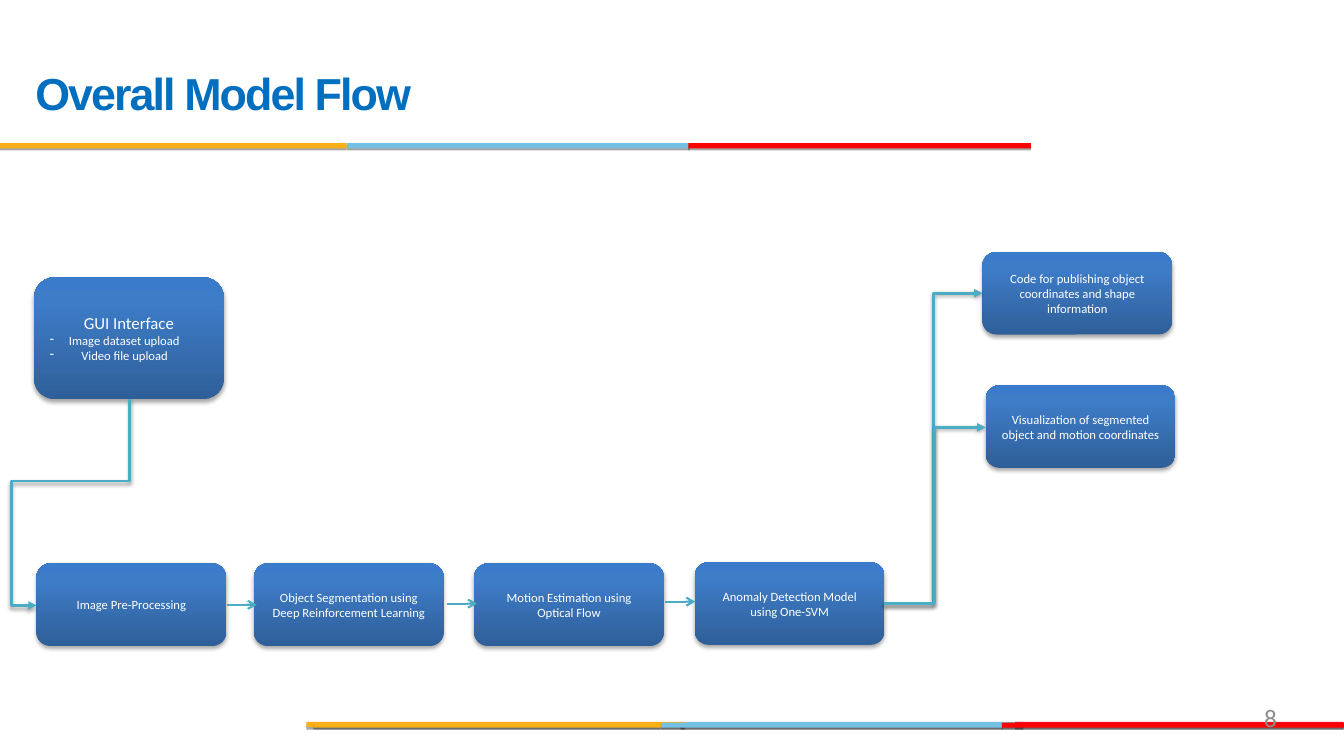
from lxml.etree import SubElement
from pptx import Presentation
from pptx.dml.color import RGBColor
from pptx.enum.shapes import MSO_CONNECTOR as Connector, MSO_SHAPE as Shape
from pptx.enum.text import MSO_ANCHOR as Anchor, PP_ALIGN as Align
from pptx.oxml.ns import qn
from pptx.util import Cm, Pt

ORANGE = RGBColor(0xFB, 0xAF, 0x16)
SKY = RGBColor(0x75, 0xC1, 0xE4)
RED = RGBColor(0xFF, 0x00, 0x00)
CRIMSON = RGBColor(0xE2, 0x1B, 0x23)
BLACK = RGBColor(0x00, 0x00, 0x00)
WHITE = RGBColor(0xFF, 0xFF, 0xFF)
GREY = RGBColor(0x8C, 0x8C, 0x8C)
TITLE_BLUE = RGBColor(0x00, 0x6F, 0xBF)
TEAL = RGBColor(0x4B, 0xAC, 0xC6)
BOX_STOPS = [
    (0, RGBColor(0x2F, 0x5F, 0x99)),
    (80, RGBColor(0x3D, 0x7C, 0xC7)),
    (100, RGBColor(0x3A, 0x7C, 0xCB)),
]

BOX_WIDTH, BOX_HEIGHT = 4.78, 2.08
STRIPE_HEIGHT = 0.13
STRIPES = [
    (17.15, 18.19, 8.64, SKY),
    (25.58, 18.19, 8.28, CRIMSON),
    (7.72, 18.19, 9.55, ORANGE),
    (16.66, 18.21, 8.61, SKY),
    (7.9, 18.21, 8.75, ORANGE),
    (25.25, 18.21, 8.62, RED),
    (8.74, 3.61, 8.64, SKY),
    (0, 3.61, 8.74, ORANGE),
    (17.35, 3.61, 8.63, RED),
]
STEPS = [
    (0.92, 14.2, "Image Pre-Processing"),
    (6.4, 14.2, "Object Segmentation using Deep Reinforcement Learning"),
    (11.95, 14.2, "Motion Estimation using Optical Flow"),
    (17.51, 14.17, "Anomaly Detection Model using One-SVM"),
    (24.76, 6.35, "Code for publishing object coordinates and shape information"),
    (24.84, 9.71, "Visualization of segmented object and motion coordinates"),
]
STEP_ARROWS = [(5.71, 15.24), (11.26, 15.21), (16.76, 15.16)]
OUTPUT_ARROWS = [(24.76, 7.39), (24.84, 10.77)]


def add_color(parent, color, alpha=None):
    element = SubElement(parent, qn("a:srgbClr"), val=str(color))
    if alpha is not None:
        SubElement(element, qn("a:alpha"), val=str(alpha * 1000))


def add_effects(shape, distance=None, alpha=35):
    effects = SubElement(shape._element.spPr, qn("a:effectLst"))
    if distance:
        shadow = SubElement(effects, qn("a:outerShdw"), blurRad=str(Pt(3.1)),
                            dist=str(Pt(distance)), dir="5400000", rotWithShape="0")
        add_color(shadow, BLACK, alpha)


def write(paragraph, text, size=9, color=WHITE, font="Calibri", bold=False,
          align=Align.CENTER, spacing=None, before=None, dash_indent=None):
    paragraph.alignment = align
    if before is not None:
        paragraph.space_before = Pt(before)
    if dash_indent:
        properties = paragraph._p.get_or_add_pPr()
        properties.set("marL", str(Cm(dash_indent)))
        properties.set("indent", str(-Cm(dash_indent)))
        SubElement(properties, qn("a:buChar"), char="-")
    run = paragraph.add_run()
    run.text = text
    run.font.size = Pt(size)
    run.font.name = font
    run.font.bold = bold
    run.font.color.rgb = color
    if spacing is not None:
        run.font._element.set("spc", str(round(spacing * 100)))


def add_text(slide, left, top, width, height, text, **style):
    frame = slide.shapes.add_textbox(Cm(left), Cm(top), Cm(width), Cm(height)).text_frame
    frame.word_wrap = True
    frame.margin_left = frame.margin_top = frame.margin_right = frame.margin_bottom = 0
    write(frame.paragraphs[0], text, **style)


def add_bar(slide, left, top, width, color, alpha=None):
    bar = slide.shapes.add_shape(Shape.RECTANGLE, Cm(left), Cm(top), Cm(width), Cm(STRIPE_HEIGHT))
    bar.shadow.inherit = False
    bar.fill.solid()
    bar.fill.fore_color.rgb = color
    bar.line.fill.background()
    if alpha is not None:
        color_element = bar._element.spPr.find(qn("a:solidFill"))[0]
        SubElement(color_element, qn("a:alpha"), val=str(alpha * 1000))


def add_stripe(slide, left, top, width, color):
    shadow_top = 18.26 if top > 10 else 3.66
    add_bar(slide, left, shadow_top, width, BLACK, alpha=35)
    add_bar(slide, left, top, width, color)


def add_box(slide, left, top, text, height=BOX_HEIGHT, **style):
    box = slide.shapes.add_shape(Shape.ROUNDED_RECTANGLE, Cm(left), Cm(top),
                                 Cm(BOX_WIDTH), Cm(height))
    box.fill.gradient()
    box.fill.gradient_angle = 90
    stops = box._element.spPr.find(qn("a:gradFill")).find(qn("a:gsLst"))
    for stop in list(stops):
        stops.remove(stop)
    for position, color in BOX_STOPS:
        add_color(SubElement(stops, qn("a:gs"), pos=str(position * 1000)), color)
    box.line.fill.background()
    add_effects(box, distance=1.8)
    frame = box.text_frame
    frame.word_wrap = True
    frame.vertical_anchor = Anchor.MIDDLE
    write(frame.paragraphs[0], text, **style)
    return frame


def add_arrow(slide, begin, end, kind=Connector.STRAIGHT):
    arrow = slide.shapes.add_connector(kind, *map(Cm, begin + end))
    bent = kind == Connector.ELBOW
    arrow.line.color.rgb = TEAL
    arrow.line.width = Pt(2 if bent else 1.5)
    SubElement(arrow.line._get_or_add_ln(), qn("a:tailEnd"), type="triangle" if bent else "arrow")
    add_effects(arrow, distance=1.6 if bent else None, alpha=38)
    return arrow


def add_return_arrow(slide):
    arrow = add_arrow(slide, (-0.51, 11.48), (4.7, 13.82), Connector.ELBOW)
    properties = arrow._element.spPr
    properties.find(qn("a:xfrm")).set("rot", "5400000")
    geometry = properties.find(qn("a:prstGeom"))
    geometry.set("prst", "bentConnector4")
    adjustments = geometry.find(qn("a:avLst"))
    for name, value in (("adj1", 39900), ("adj2", 127200)):
        SubElement(adjustments, qn("a:gd"), name=name, fmla=f"val {value}")


def main():
    presentation = Presentation()
    presentation.slide_width = Cm(33.87)
    presentation.slide_height = Cm(19.05)
    slide = presentation.slides.add_slide(presentation.slide_layouts[6])

    for stripe in STRIPES:
        add_stripe(slide, *stripe)
    add_text(slide, 0.89, 1.65, 30.18, 2.77, "Overall Model Flow", size=32, color=TITLE_BLUE,
             font="Arial", bold=True, align=Align.LEFT, spacing=-1.4, before=1)
    add_text(slide, 24.38, 17.7, 7.8, 0.76, "8", size=18, color=GREY, align=Align.RIGHT)

    interface = add_box(slide, 0.86, 6.99, "GUI Interface", height=3.07, size=12)
    for text, indent in (("Image dataset upload", 0.48), ("Video file upload", 0.79)):
        write(interface.add_paragraph(), text, align=Align.JUSTIFY, dash_indent=indent)
    for step in STEPS:
        add_box(slide, *step)

    for left, top in STEP_ARROWS:
        add_arrow(slide, (left, top), (left + 0.76, top))
    add_return_arrow(slide)
    for end in OUTPUT_ARROWS:
        add_arrow(slide, (22.28, 15.21), end, Connector.ELBOW)

    presentation.save("out.pptx")


if __name__ == "__main__":
    main()
